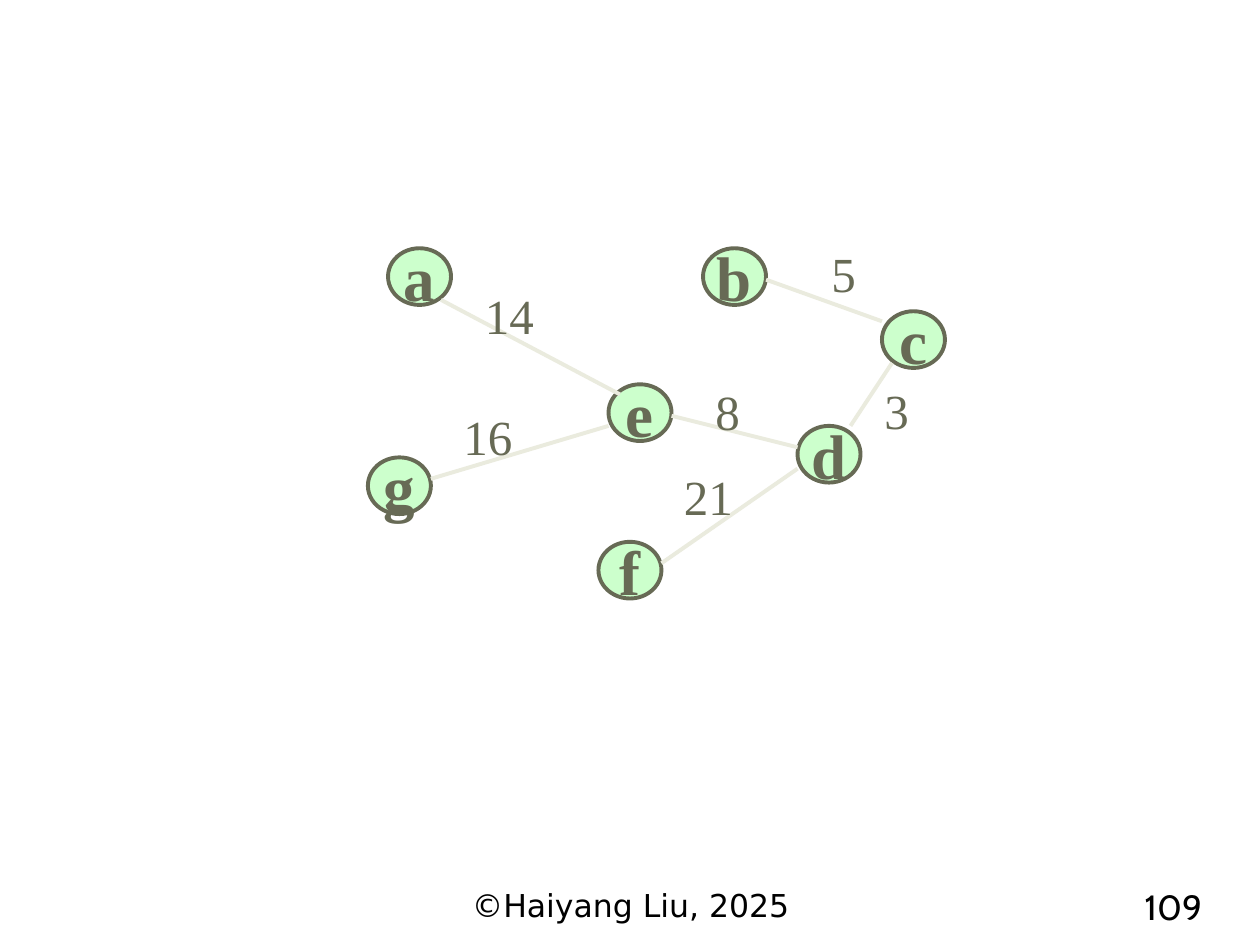
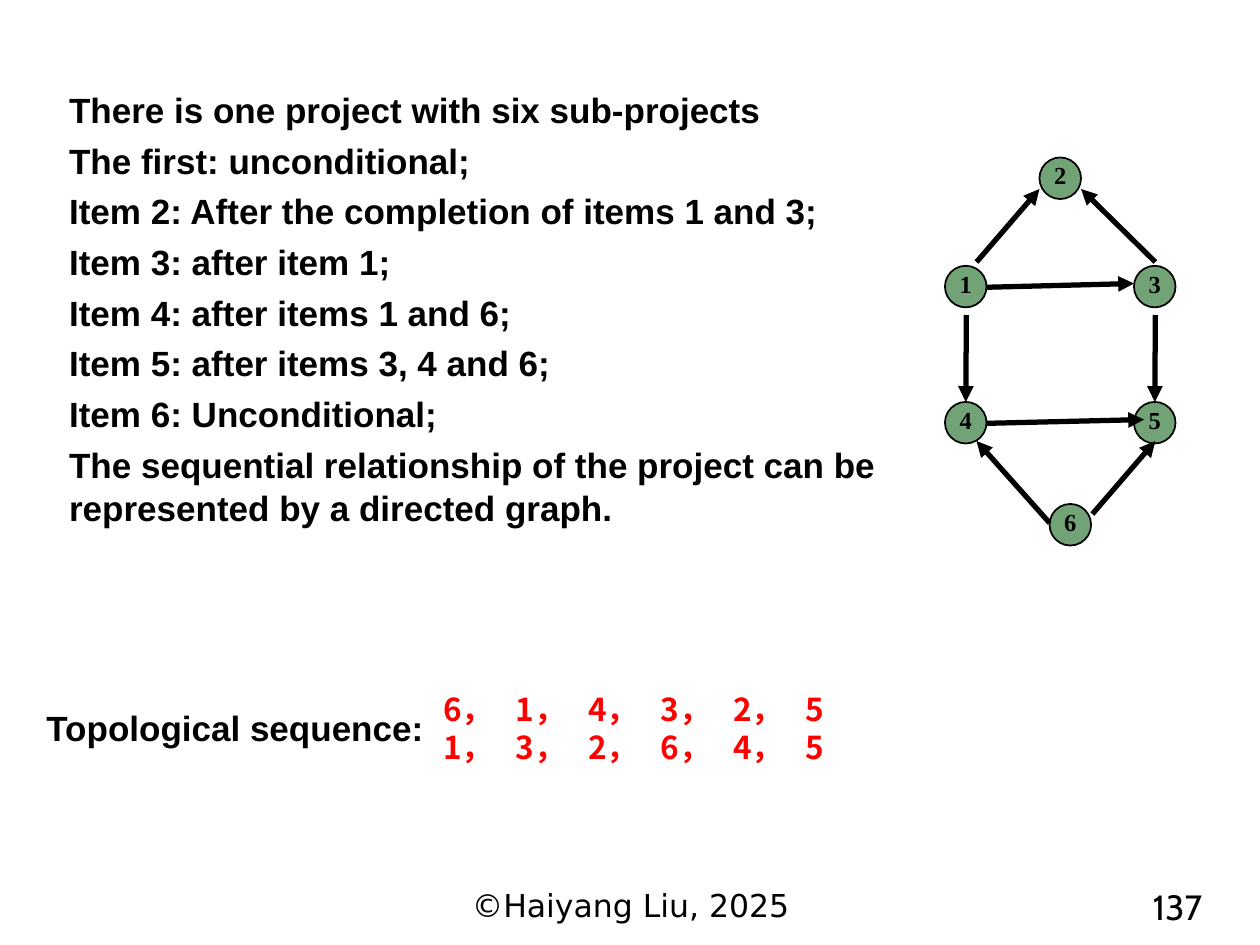
from dataclasses import dataclass
from typing import NamedTuple

from lxml.etree import SubElement
from pptx import Presentation
from pptx.dml.color import RGBColor
from pptx.enum.shapes import MSO_CONNECTOR, MSO_SHAPE
from pptx.enum.text import MSO_ANCHOR, PP_ALIGN
from pptx.oxml.ns import qn
from pptx.util import Inches, Pt

OLIVE, MINT, PALE = "676A55", "CCFFCC", "EAEBDE"
GREEN, BLACK, RED = "72A376", "000000", "FF0000"
SERIF, SANS, CJK = "Times New Roman", "Arial", "Noto Sans CJK SC"
SEQUENCE_STEP = 0.575


@dataclass(frozen=True)
class TextStyle:
    font: str
    size: float
    color: str = BLACK
    bold: bool = False
    align: PP_ALIGN = PP_ALIGN.LEFT
    space_before: float = 0
    line_spacing: float = 1.0


@dataclass(frozen=True)
class NodeStyle:
    width: float
    height: float
    fill: str
    line: str
    line_width: float
    text: TextStyle
    tight: bool = False


@dataclass(frozen=True)
class EdgeStyle:
    color: str
    width: float
    arrow: bool = False


class Box(NamedTuple):
    left: float
    top: float
    width: float
    height: float


class Node(NamedTuple):
    label: str
    left: float
    top: float


class Edge(NamedTuple):
    x1: float
    y1: float
    x2: float
    y2: float
    enters_top_of: str = ""


class Weight(NamedTuple):
    value: str
    left: float
    top: float


FOOTER = TextStyle("DejaVu Sans", 18, align=PP_ALIGN.CENTER)
PAGE_NUMBER = TextStyle("Cabin", 20, align=PP_ALIGN.RIGHT)
WEIGHT = TextStyle(SERIF, 28, OLIVE)
CONDITIONS = TextStyle(SANS, 20, bold=True, space_before=4, line_spacing=1.04)
SEQUENCE_TITLE = TextStyle(SANS, 20, bold=True)
SEQUENCE = TextStyle(CJK, 18, RED, bold=True, space_before=3.6, line_spacing=0.83)

TREE_NODE = NodeStyle(0.5, 0.45, MINT, OLIVE, 2.25,
                      TextStyle(SERIF, 36, OLIVE, True, PP_ALIGN.CENTER))
PROJECT_NODE = NodeStyle(0.33, 0.33, GREEN, BLACK, 1,
                         TextStyle(SERIF, 14, BLACK, True, PP_ALIGN.CENTER), tight=True)
TREE_EDGE = EdgeStyle(PALE, 2.25)
PROJECT_EDGE = EdgeStyle(BLACK, 3, arrow=True)

TREE_NODES = [
    Node("a", 3.08, 1.97), Node("b", 5.58, 1.97), Node("c", 7, 2.47),
    Node("d", 6.33, 3.38), Node("e", 4.83, 3.05), Node("g", 2.92, 3.63),
    Node("f", 4.75, 4.3),
]
TREE_EDGES = [
    Edge(3.5, 2.38, 4.92, 3.13), Edge(3.42, 3.8, 4.83, 3.38),
    Edge(5.33, 3.3, 6.33, 3.55), Edge(6.08, 2.22, 7, 2.55),
    Edge(7.08, 2.88, 6.75, 3.38), Edge(6.33, 3.72, 5.25, 4.47),
]
TREE_WEIGHTS = [
    Weight("5", 6.5, 1.88), Weight("14", 3.75, 2.22), Weight("16", 3.58, 3.18),
    Weight("8", 5.58, 2.98), Weight("21", 5.33, 3.65), Weight("3", 6.92, 2.97),
]
PROJECT_NODES = [
    Node("2", 8.25, 1.25), Node("1", 7.5, 2.11), Node("3", 9, 2.11),
    Node("4", 7.5, 3.19), Node("5", 9, 3.19), Node("6", 8.33, 4),
]
PROJECT_EDGES = [
    Edge(7.75, 2.08, 8.25, 1.5), Edge(7.83, 2.28, 9, 2.25),
    Edge(9.17, 2.08, 8.58, 1.5), Edge(7.67, 2.5, 7.67, 3.19, "4"),
    Edge(9.17, 2.5, 9.17, 3.19, "5"), Edge(7.83, 3.36, 9.08, 3.33),
    Edge(8.33, 4.15, 7.75, 3.5), Edge(8.67, 4.08, 9.17, 3.5),
]
PROJECT_CONDITIONS = [
    "There is one project with six sub-projects",
    "The first: unconditional;",
    "Item 2: After the completion of items 1 and 3;",
    "Item 3: after item 1;",
    "Item 4: after items 1 and 6;",
    "Item 5: after items 3, 4 and 6;",
    "Item 6: Unconditional;",
    "The sequential relationship of the project can be represented by a directed graph.",
]
SEQUENCES = ["614325", "132645"]


def rgb(color: str) -> RGBColor:
    return RGBColor.from_string(color)


def add_tab_stops(paragraph, step: float, count: int) -> None:
    stops = SubElement(paragraph._p.get_or_add_pPr(), qn("a:tabLst"))
    for index in range(1, count + 1):
        SubElement(stops, qn("a:tab"), pos=str(Inches(step * index)), algn="l")


def write(frame, lines: list[str], style: TextStyle) -> None:
    for index, line in enumerate(lines):
        paragraph = frame.add_paragraph() if index else frame.paragraphs[0]
        paragraph.text = line
        if "\t" in line:
            add_tab_stops(paragraph, SEQUENCE_STEP, line.count("\t"))
        paragraph.alignment = style.align
        if index and style.space_before:
            paragraph.space_before = Pt(style.space_before)
        if style.line_spacing != 1:
            paragraph.line_spacing = style.line_spacing
        font = paragraph.font
        font.name, font.size, font.bold = style.font, Pt(style.size), style.bold
        font.color.rgb = rgb(style.color)
        if style.font == CJK:
            latin = paragraph._p.pPr.find(qn("a:defRPr")).find(qn("a:latin"))
            east_asian = latin.makeelement(qn("a:ea"), {"typeface": CJK})
            latin.addnext(east_asian)


def tighten(frame) -> None:
    frame.margin_top, frame.margin_bottom = Inches(0), Inches(0.05)


def add_text(slide, box: Box, lines: list[str], style: TextStyle, wrap: bool = True):
    frame = slide.shapes.add_textbox(*map(Inches, box)).text_frame
    frame.word_wrap = wrap
    write(frame, lines, style)
    return frame


def add_node(slide, node: Node, style: NodeStyle):
    circle = slide.shapes.add_shape(
        MSO_SHAPE.OVAL, Inches(node.left), Inches(node.top),
        Inches(style.width), Inches(style.height))
    circle.shadow.inherit = False
    circle.fill.solid()
    circle.fill.fore_color.rgb = rgb(style.fill)
    circle.line.color.rgb = rgb(style.line)
    circle.line.width = Pt(style.line_width)
    frame = circle.text_frame
    frame.word_wrap = False
    frame.vertical_anchor = MSO_ANCHOR.MIDDLE
    if style.tight:
        tighten(frame)
    write(frame, [node.label], style.text)
    return circle


def add_edge(slide, edge: Edge, style: EdgeStyle, circles: dict) -> None:
    connector = slide.shapes.add_connector(MSO_CONNECTOR.STRAIGHT, *map(Inches, edge[:4]))
    if edge.enters_top_of:
        connector.end_connect(circles[edge.enters_top_of], 0)
    connector.line.color.rgb = rgb(style.color)
    connector.line.width = Pt(style.width)
    if style.arrow:
        SubElement(connector.line._get_or_add_ln(), qn("a:tailEnd"), type="triangle")
    SubElement(connector._element.spPr, qn("a:effectLst"))


def add_graph(slide, nodes: list[Node], node_style: NodeStyle,
              edges: list[Edge], edge_style: EdgeStyle) -> None:
    circles = {node.label: add_node(slide, node, node_style) for node in nodes}
    for edge in edges:
        add_edge(slide, edge, edge_style, circles)


def add_page(deck, number: int):
    """Add a blank slide with the shared copyright line and page number."""
    slide = deck.slides.add_slide(deck.slide_layouts[6])
    add_text(slide, Box(3.42, 6.98, 3.17, 0.39), ["©Haiyang Liu, 2025"], FOOTER)
    add_text(slide, Box(8.11, 6.98, 1.53, 0.39), [str(number)], PAGE_NUMBER)
    return slide


def build_spanning_tree(deck) -> None:
    slide = add_page(deck, 109)
    add_graph(slide, TREE_NODES, TREE_NODE, TREE_EDGES, TREE_EDGE)
    for weight in TREE_WEIGHTS:
        width = 0.4 if len(weight.value) == 1 else 0.59
        add_text(slide, Box(weight.left, weight.top, width, 0.57),
                 [weight.value], WEIGHT, wrap=False)


def build_topological_order(deck) -> None:
    slide = add_page(deck, 137)
    conditions = add_text(slide, Box(0.45, 0.69, 6.75, 3.55), PROJECT_CONDITIONS, CONDITIONS)
    tighten(conditions)
    add_graph(slide, PROJECT_NODES, PROJECT_NODE, PROJECT_EDGES, PROJECT_EDGE)
    add_text(slide, Box(0.27, 5.56, 3.68, 0.44), ["Topological sequence:"], SEQUENCE_TITLE)
    add_text(slide, Box(3.42, 5.48, 3.94, 0.77),
             ["，\t".join(items) for items in SEQUENCES], SEQUENCE)


def main() -> None:
    deck = Presentation()
    deck.slide_width, deck.slide_height = Inches(10), Inches(7.5)
    build_spanning_tree(deck)
    build_topological_order(deck)
    deck.save("out.pptx")


if __name__ == "__main__":
    main()
